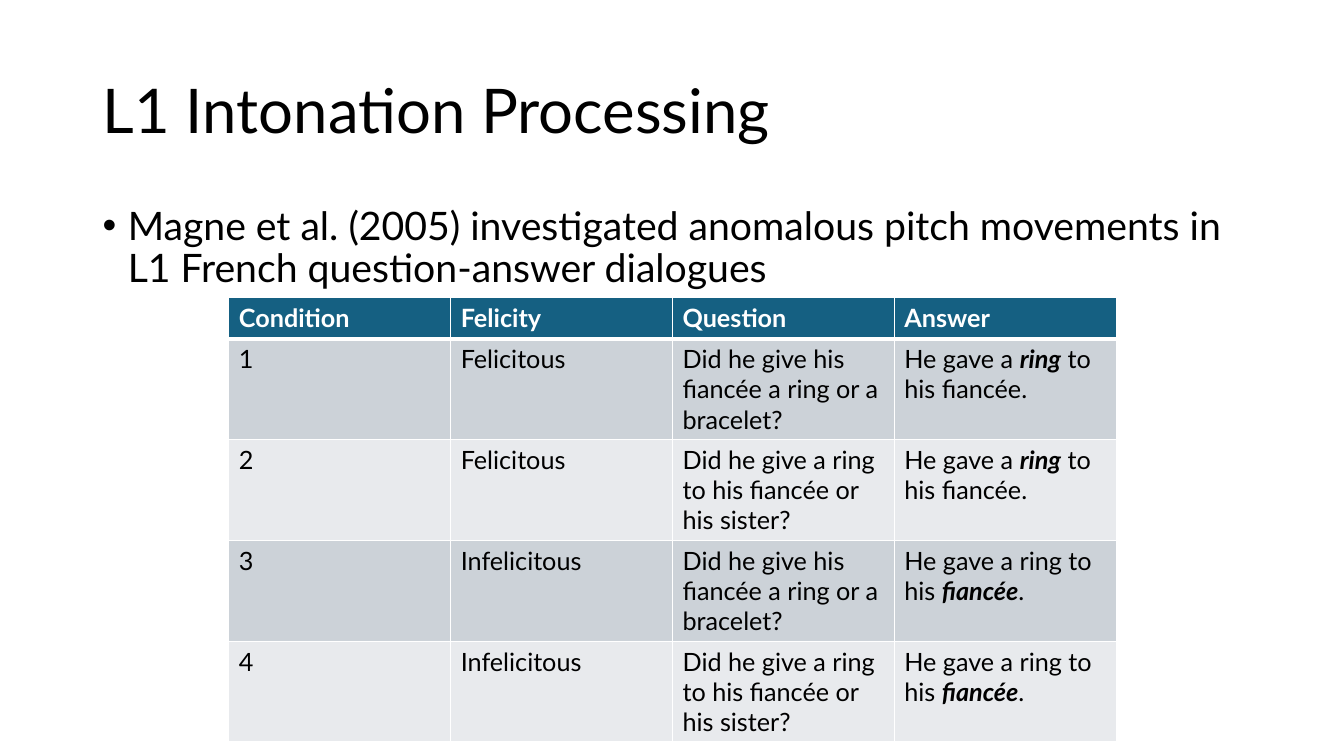
from dataclasses import dataclass

from lxml import etree
from pptx import Presentation
from pptx.dml.color import RGBColor
from pptx.enum.text import MSO_ANCHOR, MSO_AUTO_SIZE, PP_ALIGN
from pptx.oxml.ns import qn
from pptx.table import _Cell
from pptx.text.text import _Paragraph, _Run
from pptx.util import Inches, Pt

LEFT = PP_ALIGN.LEFT
MIDDLE = MSO_ANCHOR.MIDDLE
NO_AUTOFIT = MSO_AUTO_SIZE.NONE
TITLE_ONLY = 5
FONT = "Lato"
COLORS = {
    "text": "000000",
    "header_text": "FFFFFF",
    "header": "156082",
    "odd": "CCD2D8",
    "even": "E8EAED",
    "border": "FFFFFF",
}
HEADINGS = ("Condition", "Felicity", "Question", "Answer")
COLUMN_WIDTH = 2.2
HEADER_HEIGHT = 0.41
CONDITION_HEIGHT = 1.0
GIFT_QUESTION = "Did he give his fiancée a ring or a bracelet?"
RECIPIENT_QUESTION = "Did he give a ring to his fiancée or his sister?"


@dataclass(frozen=True)
class Answer:
    """An answer with its accented word between two plain parts."""

    before: str
    accented: str
    after: str


@dataclass(frozen=True)
class Condition:
    """One experimental condition of the study."""

    felicity: str
    question: str
    answer: Answer


RING_ACCENT = Answer("He gave a ", "ring", " to his fiancée.")
FIANCEE_ACCENT = Answer("He gave a ring to his ", "fiancée", ".")
CONDITIONS = (
    Condition("Felicitous", GIFT_QUESTION, RING_ACCENT),
    Condition("Felicitous", RECIPIENT_QUESTION, RING_ACCENT),
    Condition("Infelicitous", GIFT_QUESTION, FIANCEE_ACCENT),
    Condition("Infelicitous", RECIPIENT_QUESTION, FIANCEE_ACCENT),
)


def format_run(run: _Run, size: float, color: str = "text",
               bold: bool = False, italic: bool = False) -> None:
    """Apply the slide font to a run."""
    run.font.name = FONT
    run.font.size = Pt(size)
    run.font.bold = bold
    run.font.italic = italic
    run.font.color.rgb = RGBColor.from_string(COLORS[color])


def add_bullet(paragraph: _Paragraph) -> None:
    """Give a paragraph a hanging round bullet."""
    properties = paragraph._p.get_or_add_pPr()
    properties.set("marL", str(Inches(0.25)))
    properties.set("indent", str(Inches(-0.25)))
    etree.SubElement(properties, qn("a:buFont"), typeface="Arial")
    etree.SubElement(properties, qn("a:buChar"), char="•")


def style_cell(cell: _Cell, fill: str, top: float = 1, bottom: float = 1) -> None:
    """Fill a cell and draw its four borders."""
    cell.fill.solid()
    cell.fill.fore_color.rgb = RGBColor.from_string(COLORS[fill])
    properties = cell._tc.get_or_add_tcPr()
    widths = {"a:lnL": 1, "a:lnR": 1, "a:lnT": top, "a:lnB": bottom}
    for position, (side, width) in enumerate(widths.items()):
        line = etree.Element(qn(side), w=str(Pt(width)))
        solid = etree.SubElement(line, qn("a:solidFill"))
        etree.SubElement(solid, qn("a:srgbClr"), val=COLORS["border"])
        properties.insert(position, line)


def write_cell(cell: _Cell, text: str, color: str = "text", bold: bool = False) -> None:
    """Write plain text into a cell."""
    cell.text_frame.text = text
    format_run(cell.text_frame.paragraphs[0].runs[0], 18, color, bold)


def write_answer(cell: _Cell, answer: Answer) -> None:
    """Write an answer with its accented word in bold italics."""
    paragraph = cell.text_frame.paragraphs[0]
    for part in (answer.before, answer.accented, answer.after):
        run = paragraph.add_run()
        run.text = part
        accented = part == answer.accented
        format_run(run, 18, bold=accented, italic=accented)


def main() -> None:
    """Build and save the slide."""
    deck = Presentation()
    deck.slide_width, deck.slide_height = Inches(13.33), Inches(7.5)
    slide = deck.slides.add_slide(deck.slide_layouts[TITLE_ONLY])

    title = slide.shapes.title
    title.left, title.top = Inches(0.92), Inches(0.4)
    title.width, title.height = Inches(11.5), Inches(1.45)
    title.text_frame.text = "L1 Intonation Processing"
    title.text_frame.vertical_anchor = MIDDLE
    title.text_frame.auto_size = NO_AUTOFIT
    heading = title.text_frame.paragraphs[0]
    heading.alignment = LEFT
    heading.line_spacing = 0.9
    format_run(heading.runs[0], 44)

    summary = slide.shapes.add_textbox(Inches(0.92), Inches(2), Inches(11.5), Inches(4.76))
    summary.text_frame.word_wrap = True
    summary.text_frame.text = ("Magne et al. (2005) investigated anomalous pitch movements "
                               "in L1 French question-answer dialogues")
    finding = summary.text_frame.paragraphs[0]
    finding.line_spacing = 0.9
    finding.space_before = Pt(10)
    add_bullet(finding)
    format_run(finding.runs[0], 28)

    table = slide.shapes.add_table(
        len(CONDITIONS) + 1, len(HEADINGS), Inches(2.27), Inches(2.95),
        Inches(COLUMN_WIDTH * len(HEADINGS)),
        Inches(HEADER_HEIGHT + CONDITION_HEIGHT * len(CONDITIONS))).table
    table.rows[0].height = Inches(HEADER_HEIGHT)
    for column, label in enumerate(HEADINGS):
        table.columns[column].width = Inches(COLUMN_WIDTH)
        write_cell(table.cell(0, column), label, "header_text", bold=True)
        style_cell(table.cell(0, column), "header", bottom=3)

    for number, condition in enumerate(CONDITIONS, start=1):
        table.rows[number].height = Inches(CONDITION_HEIGHT)
        for column, text in enumerate((str(number), condition.felicity, condition.question)):
            write_cell(table.cell(number, column), text)
        write_answer(table.cell(number, len(HEADINGS) - 1), condition.answer)
        for column in range(len(HEADINGS)):
            style_cell(table.cell(number, column), "odd" if number % 2 else "even",
                       top=3 if number == 1 else 1)

    deck.save("out.pptx")


if __name__ == "__main__":
    main()
